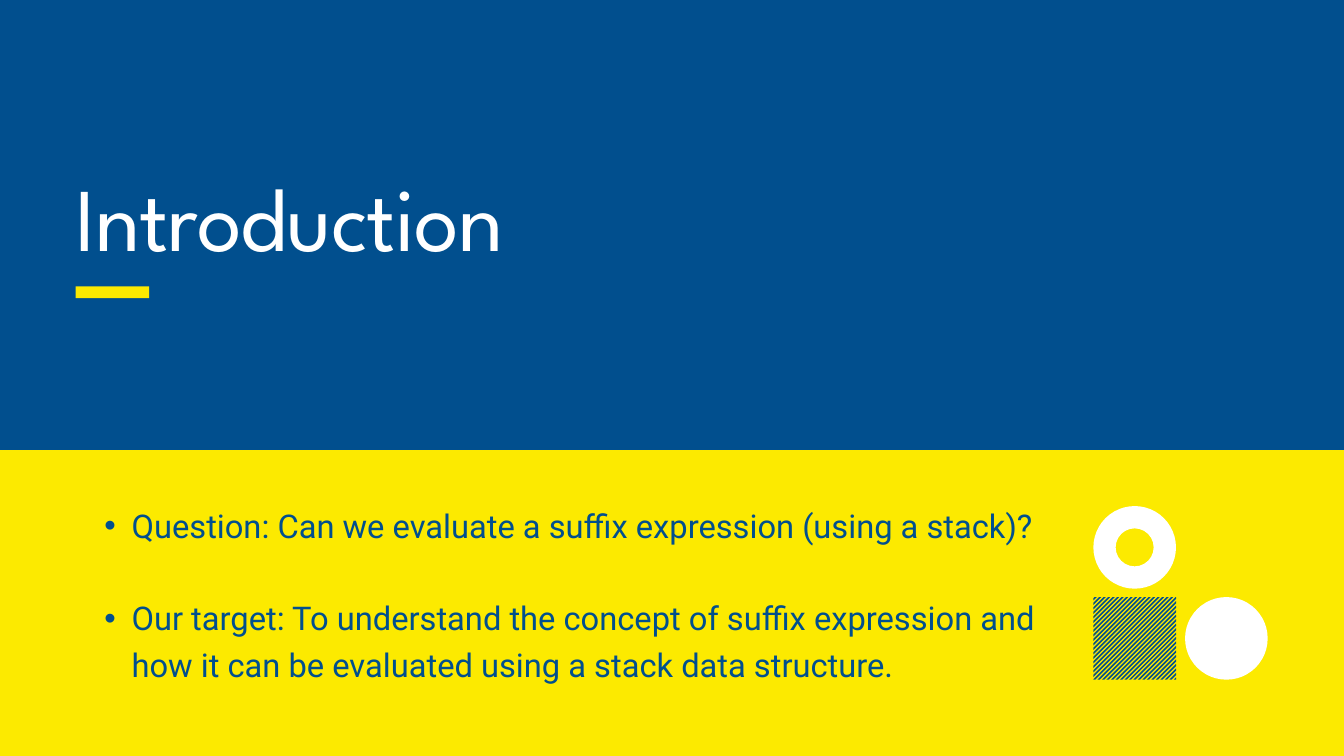
"""Build the introduction slide about evaluating suffix expressions."""
from dataclasses import dataclass

import lxml.etree
import pptx
import pptx.dml.color
import pptx.enum.shapes
import pptx.enum.text
import pptx.oxml.ns
import pptx.util

PX = 9525
COLORS = {"blue": "014F8E", "yellow": "FCEA00", "white": "FFFFFF"}
POINTS = [
    "Question: Can we evaluate a suffix expression (using a stack)?",
    "Our target: To understand the concept of suffix expression and how it can be "
    "evaluated using a stack data structure.",
]
STRIPE_COUNT = 37
SHAPES = pptx.enum.shapes.MSO_SHAPE


@dataclass(frozen=True)
class Box:
    left: int
    top: int
    width: int
    height: int

    def emu(self) -> list[int]:
        return [v * PX for v in (self.left, self.top, self.width, self.height)]


@dataclass(frozen=True)
class TextStyle:
    font: str
    size: int
    color: str
    line_pt: float


TITLE_STYLE = TextStyle("League Spartan", 96, "white", 124.8)
POINT_STYLE = TextStyle("Roboto", 35, "blue", 49.7)


def rgb(color: str) -> pptx.dml.color.RGBColor:
    return pptx.dml.color.RGBColor.from_string(COLORS[color])


def paint(shape, color: str) -> None:
    shape.fill.solid()
    shape.fill.fore_color.rgb = rgb(color)
    shape.line.fill.background()
    shape.shadow.inherit = False


def add_block(shapes, kind, box: Box, color: str):
    block = shapes.add_shape(kind, *box.emu())
    paint(block, color)
    return block


def add_hatching(shapes, box: Box, color: str) -> None:
    side = box.width * PX
    pitch = 2 * side / (STRIPE_COUNT - 0.25)
    builder = shapes.build_freeform(0, 0, scale=1.0)
    for index in range(STRIPE_COUNT):
        near, far = index * pitch, (index + 0.5) * pitch
        (near_x, near_y), (far_x, far_y) = [
            (max(0, s - side), min(s, side)) for s in (near, far)]
        crosses_corners = near < side < far
        outline = [(near_x, near_y)]
        outline += [(0, side)] * crosses_corners
        outline += [(far_x, far_y), (far_y, far_x)]
        outline += [(side, 0)] * crosses_corners
        outline += [(near_y, near_x)]
        builder.move_to(*outline[0])
        builder.add_line_segments(outline[1:], close=True)
    hatching = builder.convert_to_shape(box.left * PX, box.top * PX)
    hatching.rotation = 180
    paint(hatching, color)


def place_text(placeholder, box: Box):
    placeholder.left, placeholder.top, placeholder.width, placeholder.height = box.emu()
    frame = placeholder.text_frame
    frame.margin_left = frame.margin_top = frame.margin_right = frame.margin_bottom = 0
    frame.vertical_anchor = pptx.enum.text.MSO_ANCHOR.TOP
    frame.word_wrap = True
    frame.auto_size = pptx.enum.text.MSO_AUTO_SIZE.SHAPE_TO_FIT_TEXT
    return frame


def write(paragraph, text: str, style: TextStyle, space_before: float = 0):
    paragraph.alignment = pptx.enum.text.PP_ALIGN.LEFT
    paragraph.line_spacing = pptx.util.Pt(style.line_pt)
    paragraph.space_before = pptx.util.Pt(space_before)
    run = paragraph.add_run()
    run.text = text
    run.font.name = style.font
    run.font.size = pptx.util.Pt(style.size)
    run.font.color.rgb = rgb(style.color)
    return run


def add_bullet(paragraph, text_indent: int, hanging: int) -> None:
    properties = paragraph._p.get_or_add_pPr()
    properties.set("marL", str(text_indent * PX))
    properties.set("indent", str(-hanging * PX))
    qn = pptx.oxml.ns.qn
    lxml.etree.SubElement(properties, qn("a:buFont"), typeface="Arial")
    lxml.etree.SubElement(properties, qn("a:buChar"), char="•")


def add_ornaments(slide) -> None:
    side, left, top, right, bottom = 118, 1562, 723, 1693, 853
    ornaments = slide.shapes.add_group_shape().shapes
    ring = add_block(ornaments, SHAPES.DONUT, Box(left, top, side, side), "white")
    ring.adjustments[0] = 0.27
    add_hatching(ornaments, Box(left, bottom, side, side), "blue")
    add_block(ornaments, SHAPES.OVAL, Box(right, bottom, side, side), "white")


def main() -> None:
    deck = pptx.Presentation()
    deck.slide_width, deck.slide_height = 1920 * PX, 1080 * PX
    slide = deck.slides.add_slide(deck.slide_layouts[1])
    slide.background.fill.solid()
    slide.background.fill.fore_color.rgb = rgb("blue")
    title, points = slide.shapes.title, slide.placeholders[1]

    band = add_block(slide.shapes, SHAPES.RECTANGLE, Box(0, 643, 1920, 437), "yellow")
    underline = add_block(slide.shapes, SHAPES.RECTANGLE, Box(108, 409, 105, 17), "yellow")
    for backdrop in (band, underline):
        title.element.addprevious(backdrop.element)

    heading = place_text(title, Box(108, 219, 1480, 159)).paragraphs[0]
    heading_run = write(heading, "Introduction", TITLE_STYLE)
    heading_run.font._element.set("spc", "-100")

    frame = place_text(points, Box(108, 712, 1407, 262))
    for index, point in enumerate(POINTS):
        paragraph = frame.add_paragraph() if index else frame.paragraphs[0]
        paragraph.level = 1
        add_bullet(paragraph, text_indent=80, hanging=39)
        write(paragraph, point, POINT_STYLE, index * POINT_STYLE.line_pt)

    add_ornaments(slide)
    deck.save("out.pptx")


if __name__ == "__main__":
    main()
